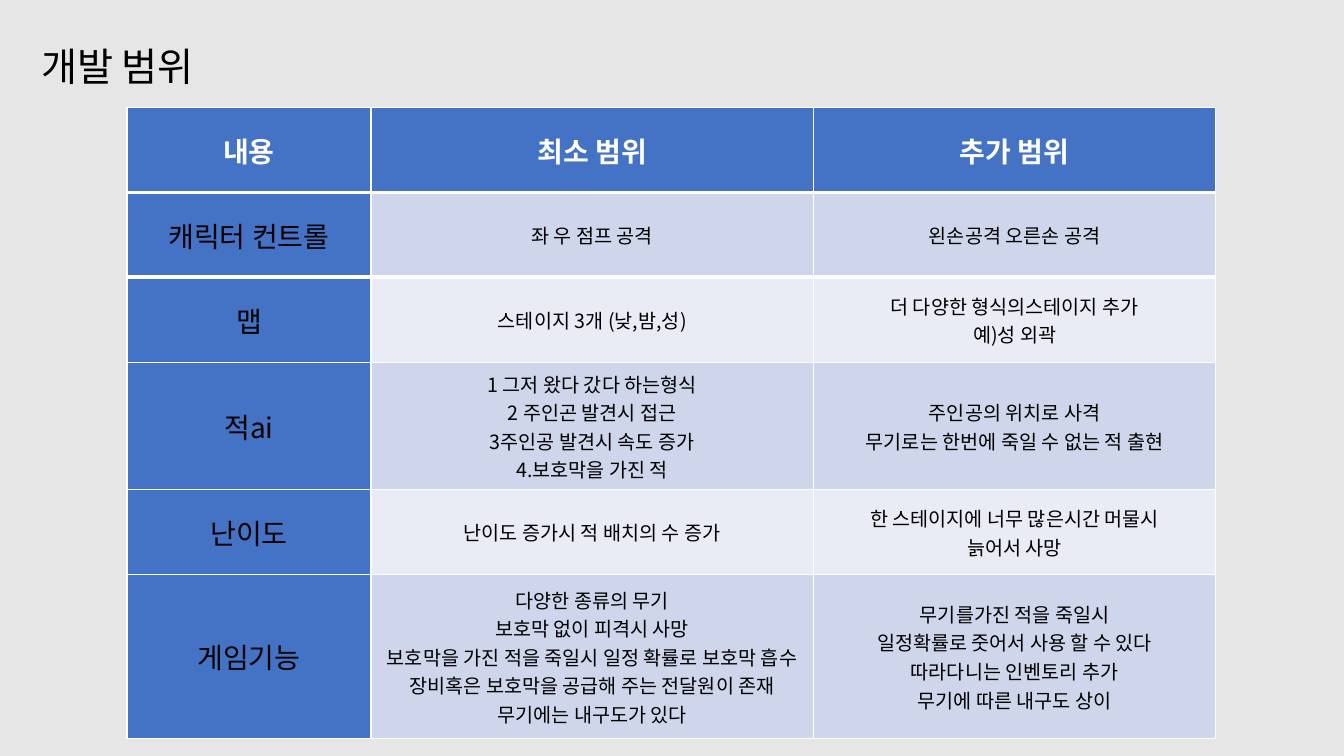
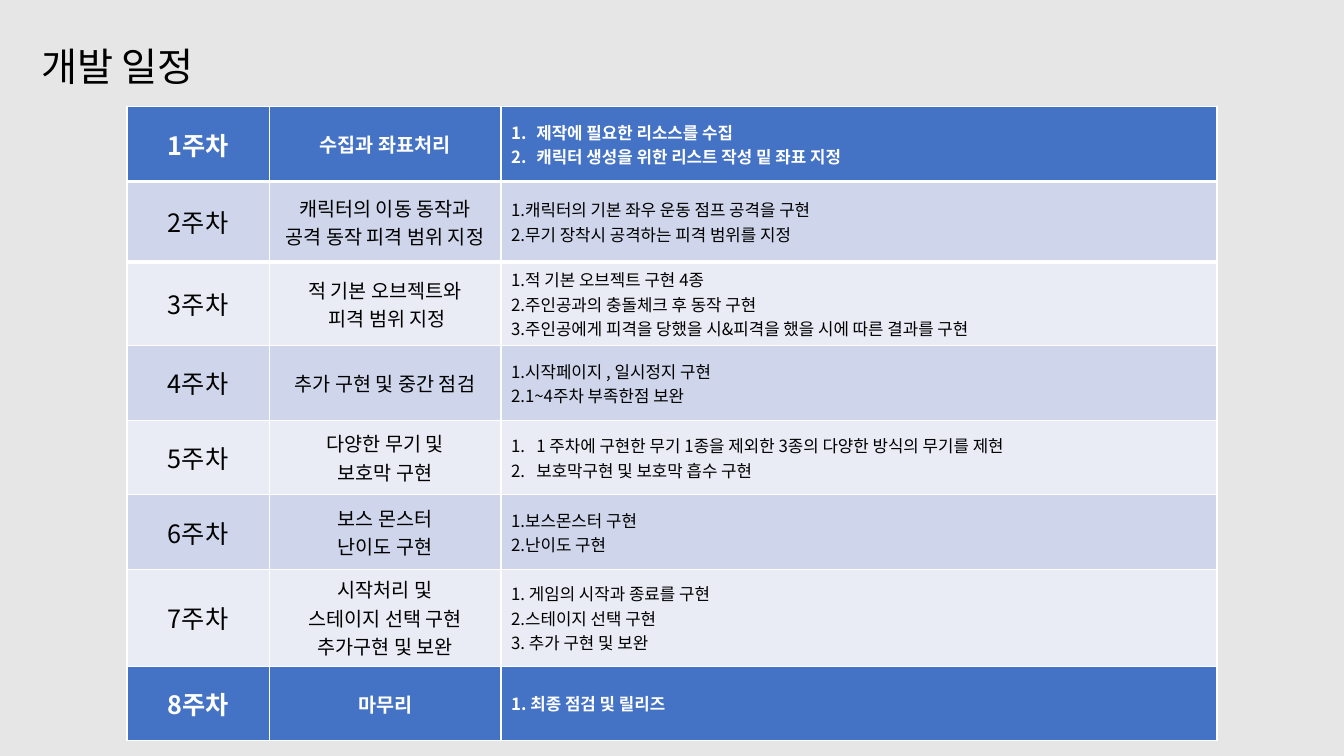
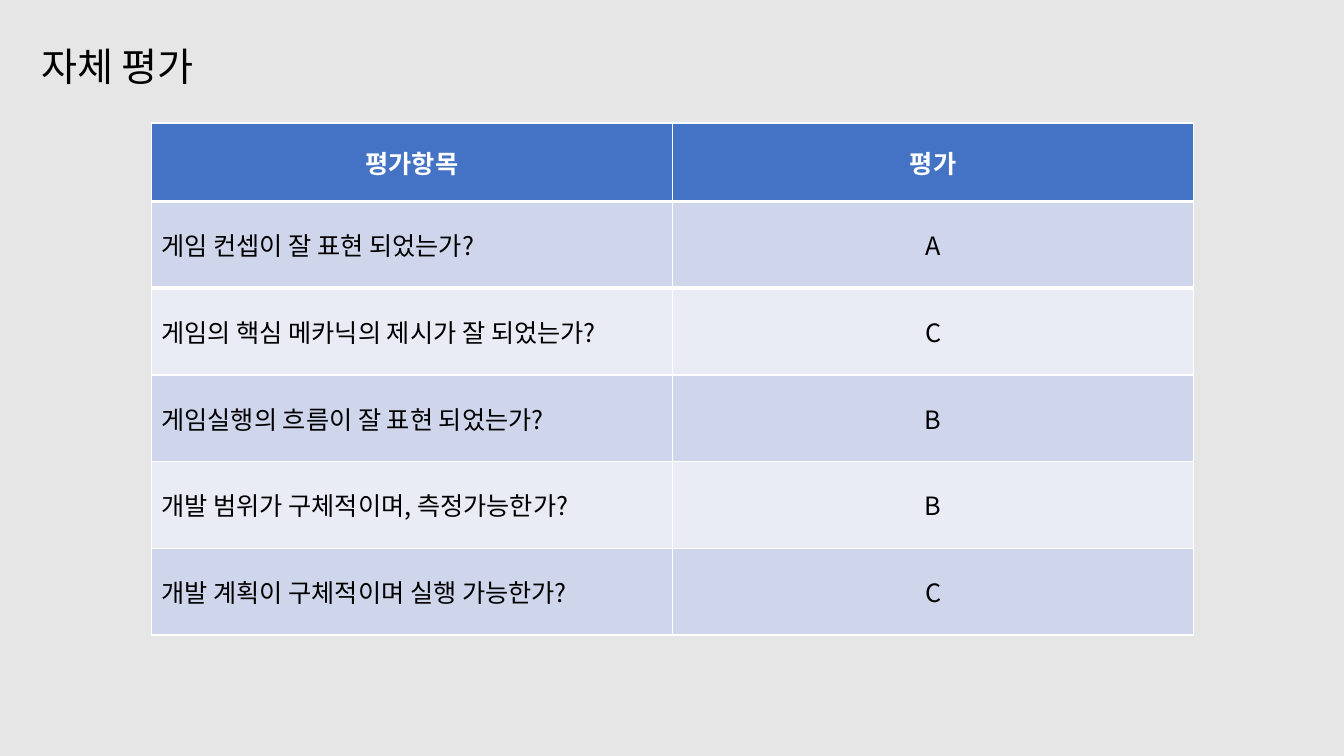
"""Build the game plan slides: scope, schedule and self review."""
from dataclasses import dataclass

from lxml.etree import SubElement
from pptx import Presentation
from pptx.dml.color import RGBColor
from pptx.enum.text import MSO_ANCHOR, MSO_AUTO_SIZE, PP_ALIGN
from pptx.oxml.ns import qn
from pptx.presentation import Presentation as Deck
from pptx.slide import Slide
from pptx.table import _Cell as Cell
from pptx.text.text import TextFrame
from pptx.util import Inches, Pt

MIDDLE = MSO_ANCHOR.MIDDLE
GROW = MSO_AUTO_SIZE.SHAPE_TO_FIT_TEXT
LEFT, CENTER = PP_ALIGN.LEFT, PP_ALIGN.CENTER
FACE = "Noto Sans CJK KR"
BACK, BLUE, BLACK, WHITE = "E7E6E6", "4472C4", "000000", "FFFFFF"
BANDS = ("E9EBF5", "CFD5EA")


@dataclass
class Col:
    """Width and text style of a column."""
    width: float
    size: int
    align: PP_ALIGN = CENTER
    blue: bool = False


@dataclass
class Row:
    """Height and cell texts of a row; auto numbers the last cell."""
    height: float
    cells: tuple[str, ...]
    blue: bool = False
    auto: bool = False


@dataclass
class Grid:
    """A titled table; head is the size of a centred header row."""
    title: str
    left: float
    top: float
    cols: list[Col]
    rows: list[Row]
    head: int = 0
    pad: float = 0.1


def color(code: str) -> RGBColor:
    """Turn a hex string into a colour."""
    return RGBColor.from_string(code)


def style(frame: TextFrame, size: int, tone: str, bold: bool = False,
          align: PP_ALIGN = LEFT) -> None:
    """Set the font and alignment of all paragraphs."""
    for para in frame.paragraphs:
        para.alignment = align
        font = para.font
        font.name, font.size, font.bold = FACE, Pt(size), bold
        font.color.rgb = color(tone)
        props = para._p.get_or_add_pPr().get_or_add_defRPr()
        SubElement(props, qn("a:ea"), typeface=FACE)


def number(frame: TextFrame) -> None:
    """Number the paragraphs with a hanging indent."""
    for para in frame.paragraphs:
        props = para._p.get_or_add_pPr()
        props.set("marL", str(Inches(0.25)))
        props.set("indent", str(-Inches(0.25)))
        mark = SubElement(props, qn("a:buAutoNum"), type="arabicPeriod")
        props.insert(0, mark)


def rule(cell: Cell, side: str) -> None:
    """Draw a thick white border on one side of a cell."""
    props = cell._tc.get_or_add_tcPr()
    line = SubElement(props, qn(side), w=str(Pt(3)))
    fill = SubElement(line, qn("a:solidFill"))
    SubElement(fill, qn("a:srgbClr"), val=WHITE)
    props.insert(0, line)


def add_title(slide: Slide, text: str) -> None:
    """Add the slide title."""
    box = slide.shapes.add_textbox(
        Inches(0.31), Inches(0.37), Inches(1.91), Inches(0.57))
    frame = box.text_frame
    frame.word_wrap, frame.auto_size = False, GROW
    frame.text = text
    style(frame, 28, BLACK)


def add_grid(slide: Slide, grid: Grid) -> None:
    """Add the table and fill its cells."""
    wide = sum(col.width for col in grid.cols)
    high = sum(row.height for row in grid.rows)
    table = slide.shapes.add_table(
        len(grid.rows), len(grid.cols), Inches(grid.left), Inches(grid.top),
        Inches(wide), Inches(high)).table
    for x, col in enumerate(grid.cols):
        table.columns[x].width = Inches(col.width)
    for y, row in enumerate(grid.rows):
        table.rows[y].height = Inches(row.height)
        for x, (col, text) in enumerate(zip(grid.cols, row.cells)):
            cell = table.cell(y, x)
            cell.vertical_anchor = MIDDLE
            cell.margin_left = cell.margin_right = Inches(grid.pad)
            cell.margin_top = cell.margin_bottom = Inches(grid.pad / 2)
            cell.fill.solid()
            cell.fill.fore_color.rgb = color(
                BLUE if row.blue or col.blue else BANDS[y % 2])
            if y < 2:
                rule(cell, ("a:lnB", "a:lnT")[y])
            frame = cell.text_frame
            frame.text = text
            size, align = col.size, col.align
            if y == 0 and grid.head:
                size, align = grid.head, CENTER
            style(frame, size, WHITE if row.blue else BLACK, row.blue, align)
        if row.auto:
            number(frame)


def add_slide(deck: Deck, grid: Grid) -> None:
    """Add a slide with a title and a table."""
    slide = deck.slides.add_slide(deck.slide_layouts[6])
    add_grid(slide, grid)
    add_title(slide, grid.title)


SCOPE = Grid(
    "개발 범위", 1.26, 1.07,
    [Col(2.42, 20, blue=True), Col(4.39, 14), Col(3.99, 14)],
    [
        Row(0.84, ("내용", "최소 범위", "추가 범위"), blue=True),
        Row(0.84, ("캐릭터 컨트롤", "좌 우 점프 공격", "왼손공격 오른손 공격")),
        Row(0.85, ("맵", "스테이지 3개 (낮,밤,성)",
                   "더 다양한 형식의스테이지 추가\n예)성 외곽")),
        Row(1.26, ("적ai",
                   "1 그저 왔다 갔다 하는형식\n2 주인곤 발견시 접근\n"
                   "3주인공 발견시 속도 증가\n4.보호막을 가진 적",
                   "주인공의 위치로 사격\n무기로는 한번에 죽일 수 없는 적 출현")),
        Row(0.84, ("난이도", "난이도 증가시 적 배치의 수 증가",
                   "한 스테이지에 너무 많은시간 머물시\n늙어서 사망")),
        Row(1.63, ("게임기능",
                   "다양한 종류의 무기\n보호막 없이 피격시 사망\n"
                   "보호막을 가진 적을 죽일시 일정 확률로 보호막 흡수\n"
                   "장비혹은 보호막을 공급해 주는 전달원이 존재\n"
                   "무기에는 내구도가 있다",
                   "무기를가진 적을 죽일시\n일정확률로 줏어서 사용 할 수 있다\n"
                   "따라다니는 인벤토리 추가\n무기에 따른 내구도 상이")),
    ], head=20, pad=0.12)

PLAN = Grid(
    "개발 일정", 1.26, 1.06,
    [Col(1.41, 18), Col(2.3, 14), Col(7.1, 12, LEFT)],
    [
        Row(0.74, ("1주차", "수집과 좌표처리",
                   "제작에 필요한 리소스를 수집\n"
                   "캐릭터 생성을 위한 리스트 작성 밑 좌표 지정"),
            blue=True, auto=True),
        Row(0.8, ("2주차", "캐릭터의 이동 동작과 공격 동작 피격 범위 지정",
                  "1.캐릭터의 기본 좌우 운동 점프 공격을 구현\n"
                  "2.무기 장착시 공격하는 피격 범위를 지정")),
        Row(0.83, ("3주차", "적 기본 오브젝트와\n 피격 범위 지정",
                   "1.적 기본 오브젝트 구현 4종\n"
                   "2.주인공과의 충돌체크 후 동작 구현\n"
                   "3.주인공에게 피격을 당했을 시&피격을 했을 시에 따른 결과를 구현")),
        Row(0.74, ("4주차", "추가 구현 및 중간 점검",
                   "1.시작페이지 , 일시정지 구현\n2.1~4주차 부족한점 보완")),
        Row(0.74, ("5주차", "다양한 무기 및\n보호막 구현",
                   "1 주차에 구현한 무기 1종을 제외한 3종의 다양한 방식의 무기를 제현\n"
                   "보호막구현 및 보호막 흡수 구현"), auto=True),
        Row(0.74, ("6주차", "보스 몬스터\n난이도 구현",
                   "1.보스몬스터 구현\n2.난이도 구현")),
        Row(0.96, ("7주차", "시작처리 및\n스테이지 선택 구현\n추가구현 및 보완",
                   "1. 게임의 시작과 종료를 구현\n2.스테이지 선택 구현\n"
                   "3. 추가 구현 및 보완")),
        Row(0.74, ("8주차", "마무리", "1. 최종 점검 및 릴리즈"), blue=True),
    ])

REVIEW = Grid(
    "자체 평가", 1.5, 1.22,
    [Col(5.17, 18, LEFT), Col(5.17, 18)],
    [
        Row(0.78, ("평가항목", "평가"), blue=True),
        Row(0.86, ("게임 컨셉이 잘 표현 되었는가?", "A")),
        Row(0.86, ("게임의 핵심 메카닉의 제시가 잘 되었는가?", "C")),
        Row(0.86, ("게임실행의 흐름이 잘 표현 되었는가?", "B")),
        Row(0.86, ("개발 범위가 구체적이며, 측정가능한가?", "B")),
        Row(0.86, ("개발 계획이 구체적이며 실행 가능한가?", "C")),
    ], head=18)


def main() -> None:
    """Build and save the deck."""
    deck = Presentation()
    deck.slide_width, deck.slide_height = Inches(13.33), Inches(7.5)
    fill = deck.slide_master.background.fill
    fill.solid()
    fill.fore_color.rgb = color(BACK)
    for grid in (SCOPE, PLAN, REVIEW):
        add_slide(deck, grid)
    deck.save("out.pptx")


main()
